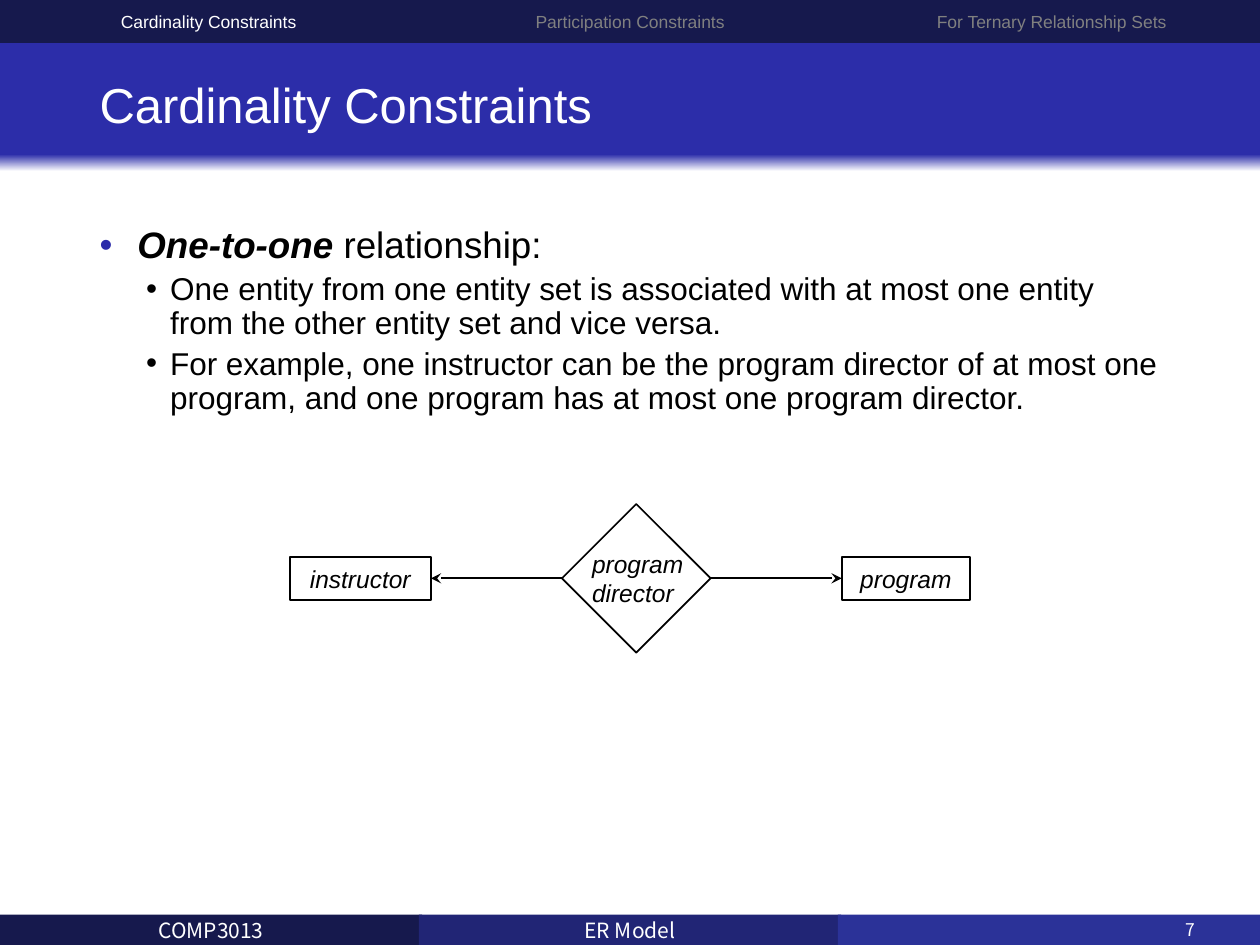
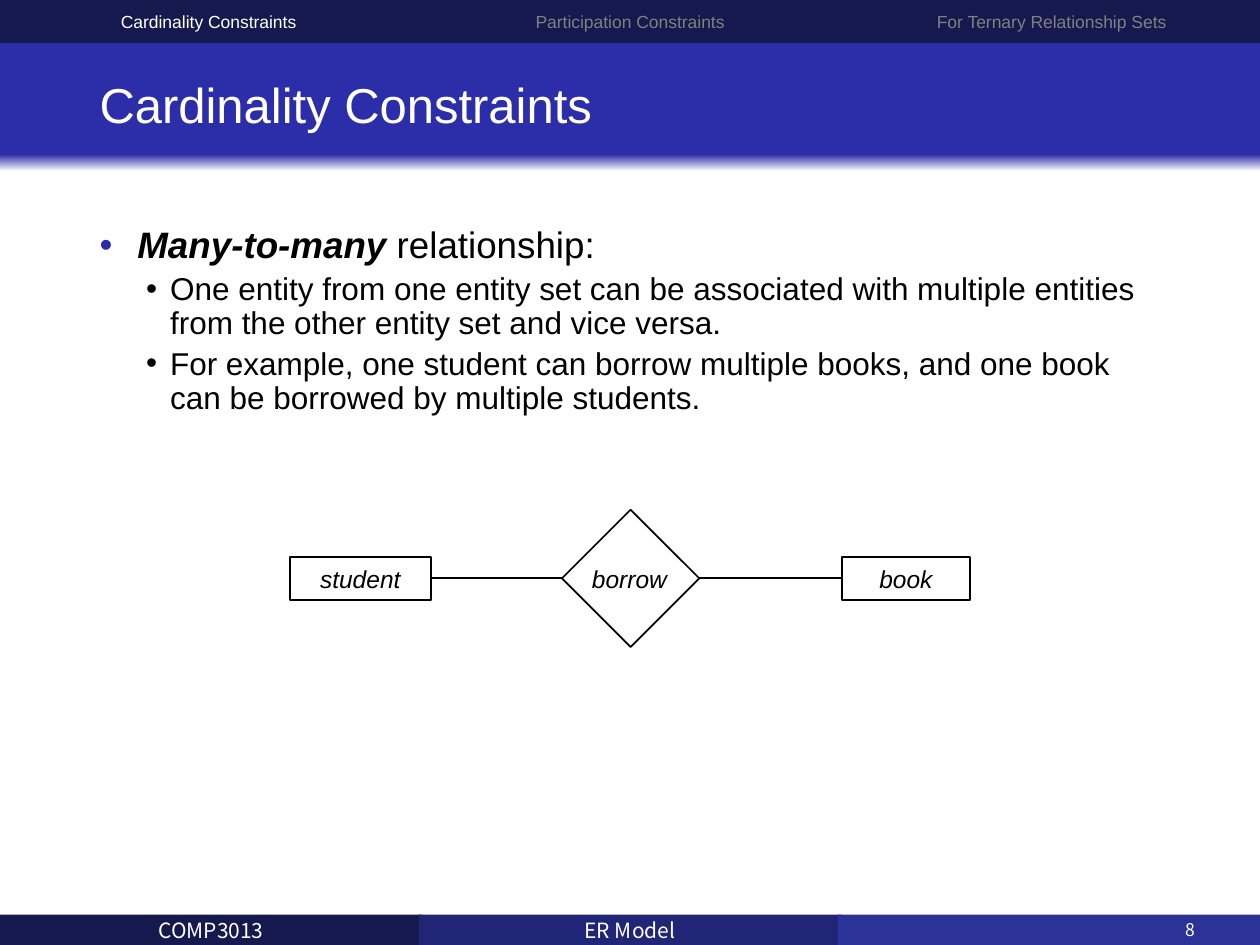
import pptx
import pptx.dml.color
import pptx.enum.shapes
import pptx.enum.text
import pptx.oxml.ns
import pptx.util
from lxml import etree

Inches = pptx.util.Inches
Pt = pptx.util.Pt
RGB = pptx.dml.color.RGBColor.from_string
SHAPE = pptx.enum.shapes.MSO_SHAPE
ALIGN = pptx.enum.text.PP_ALIGN
ANCHOR = pptx.enum.text.MSO_ANCHOR
qn = pptx.oxml.ns.qn

COLORS = {
    "navy": "16194D", "indigo": "212575", "blue": "2B3298", "band": "2C2DA9",
    "bullet": "2C2CAA", "white": "FFFFFF", "black": "000000", "muted": "808080",
}
SECTIONS = [
    ("Cardinality Constraints", 0, 3.31, "white"),
    ("Participation Constraints", 3.31, 3.38, "muted"),
    ("For Ternary Relationship Sets", 6.69, 3.31, "muted"),
]
FOOTERS = [("COMP3013", "navy"), ("ER Model", "indigo"), ("", "blue")]
AXIS_Y = 4.59  # height of the line through the diagram
ENTITY_HEIGHT = 0.34
DIAMOND_LEFT = 4.46

LESSONS = [
    {
        "number": "7",
        "kind": "One-to-one",
        "points": [
            "One entity from one entity set is associated with at most one entity "
            "from the other entity set and vice versa.",
            "For example, one instructor can be the program director of at most one "
            "program, and one program has at most one program director.",
        ],
        "entities": ["instructor", "program"],
        "relationship": ["program", "director"],
        "diamond": 1.18, "label_size": (0.98, 0.57),
        "arrows": True,
    },
    {
        "number": "8",
        "kind": "Many-to-many",
        "points": [
            "One entity from one entity set can be associated with multiple entities "
            "from the other entity set and vice versa.",
            "For example, one student can borrow multiple books, and one book "
            "can be borrowed by multiple students.",
        ],
        "entities": ["student", "book"],
        "relationship": ["borrow"],
        "diamond": 1.09, "label_size": (0.8, 0.34),
        "arrows": False,
    },
]


def add_box(slide, area, text="", fill=None, outline=None, geometry=SHAPE.RECTANGLE,
            size=14, font="Arial", color="black", italic=False):
    box = slide.shapes.add_shape(geometry, *map(Inches, area))
    box.shadow.inherit = False
    if fill:
        box.fill.solid()
        box.fill.fore_color.rgb = RGB(COLORS[fill])
    else:
        box.fill.background()
    if outline:
        box.line.color.rgb = RGB(COLORS[outline])
        box.line.width = Pt(1)
    else:
        box.line.fill.background()
    if text:
        frame = box.text_frame
        frame.text = text
        frame.vertical_anchor = ANCHOR.MIDDLE
        frame.margin_top = frame.margin_bottom = 0
        frame.paragraphs[0].alignment = ALIGN.CENTER
        style_text(frame, size, font, color, italic)
    return box


def style_text(frame, size, font="Arial", color="black", italic=False):
    for paragraph in frame.paragraphs:
        for run in paragraph.runs:
            run.font.size = Pt(size)
            run.font.name = font
            run.font.color.rgb = RGB(COLORS[color])
            run.font.italic = italic


deck = pptx.Presentation()
deck.slide_width, deck.slide_height = Inches(10), Inches(7.5)
slides = [deck.slides.add_slide(deck.slide_layouts[1]) for lesson in LESSONS]

# Footer and title band are built once, then moved to the slide master.
shared = [
    add_box(slides[0], (3.325 * i, 7.26, 3.35, 0.24), text, fill,
            size=12, font="Noto Sans CJK SC", color="white")
    for i, (text, fill) in enumerate(FOOTERS)
]
title_band = add_box(slides[0], (0, 0.33, 10, 1.03))
title_band.fill.gradient()
title_band.fill.gradient_angle = 90
for stop, position, color in zip(title_band.fill.gradient_stops, (0, 0.13), ("white", "band")):
    stop.position = position
    stop.color.rgb = RGB(COLORS[color])
for part in shared + [title_band]:
    deck.slide_master.shapes._spTree.append(part._element)

for slide, lesson in zip(slides, LESSONS):
    title = slide.shapes.title
    title.left, title.top, title.width, title.height = map(Inches, (0.69, 0.39, 8.62, 0.92))
    title.text_frame.text = "Cardinality Constraints"
    title.text_frame.vertical_anchor = ANCHOR.MIDDLE
    title.text_frame.paragraphs[0].alignment = ALIGN.LEFT
    title.text_frame.paragraphs[0].line_spacing = 0.9
    style_text(title.text_frame, 28, color="white")

    body = slide.placeholders[1]
    body.left, body.top, body.width, body.height = map(Inches, (0.69, 1.75, 8.62, 3.43))
    frame = body.text_frame
    frame.auto_size = pptx.enum.text.MSO_AUTO_SIZE.NONE
    frame.text = lesson["kind"]
    frame.paragraphs[0].add_run().text = " relationship:"
    for point in lesson["points"]:
        paragraph = frame.add_paragraph()
        paragraph.text = point
        paragraph.level = 1
    style_text(frame, 18)
    for i, paragraph in enumerate(frame.paragraphs):
        properties = paragraph._p.get_or_add_pPr()
        margin, indent = (0.56, -0.19) if i else (0.3, -0.3)
        properties.set("marL", str(Inches(margin)))
        properties.set("indent", str(Inches(indent)))
        bullet_color = etree.SubElement(properties, qn("a:buClr"))
        etree.SubElement(bullet_color, qn("a:srgbClr"),
                         val=COLORS["black" if i else "bullet"])
        etree.SubElement(properties, qn("a:buFont"), typeface="Arial")
        etree.SubElement(properties, qn("a:buChar"), char="•")
        paragraph.line_spacing = 0.9
        paragraph.space_before = Pt(3.8 if i else 0)
    kind, rest = frame.paragraphs[0].runs
    kind.font.size = rest.font.size = Pt(21)
    kind.font.bold = kind.font.italic = True

    entity_top = AXIS_Y - ENTITY_HEIGHT / 2
    entities = [
        add_box(slide, (left, entity_top, width, ENTITY_HEIGHT), name,
                outline="black", italic=True)
        for name, left, width in zip(lesson["entities"], (2.3, 6.68), (1.12, 1.02))
    ]
    side = lesson["diamond"]
    diamond = add_box(slide, (DIAMOND_LEFT, AXIS_Y - side / 2, side, side),
                      outline="black", geometry=SHAPE.DIAMOND)

    width, height = lesson["label_size"]
    relationship = slide.shapes.add_textbox(
        *map(Inches, (4.6, AXIS_Y - height / 2, width, height))).text_frame
    relationship.text = "\n".join(lesson["relationship"])
    relationship.word_wrap = False
    relationship.vertical_anchor = ANCHOR.MIDDLE
    style_text(relationship, 14, italic=True)

    for entity, diamond_side, entity_side in zip(entities, (1, 3), (3, 1)):
        link = slide.shapes.add_connector(
            pptx.enum.shapes.MSO_CONNECTOR.STRAIGHT, 0, 0, 0, 0)
        link.begin_connect(diamond, diamond_side)
        link.end_connect(entity, entity_side)
        link.line.color.rgb = RGB(COLORS["black"])
        link.line.width = Pt(1.25)
        if lesson["arrows"]:
            etree.SubElement(link.line._get_or_add_ln(), qn("a:tailEnd"), type="stealth")
        etree.SubElement(link._element.spPr, qn("a:effectLst"))

    for section, left, width, color in SECTIONS:
        add_box(slide, (left, 0, width, 0.34), section, "navy", size=10, color=color)

    page_number = slide.shapes.add_textbox(*map(Inches, (9.31, 7.26, 0.6, 0.24))).text_frame
    page_number.text = lesson["number"]
    page_number.word_wrap = True
    page_number.vertical_anchor = ANCHOR.MIDDLE
    page_number.margin_top = page_number.margin_bottom = 0
    style_text(page_number, 10, "Noto Sans CJK JP", "white")

deck.save("out.pptx")
